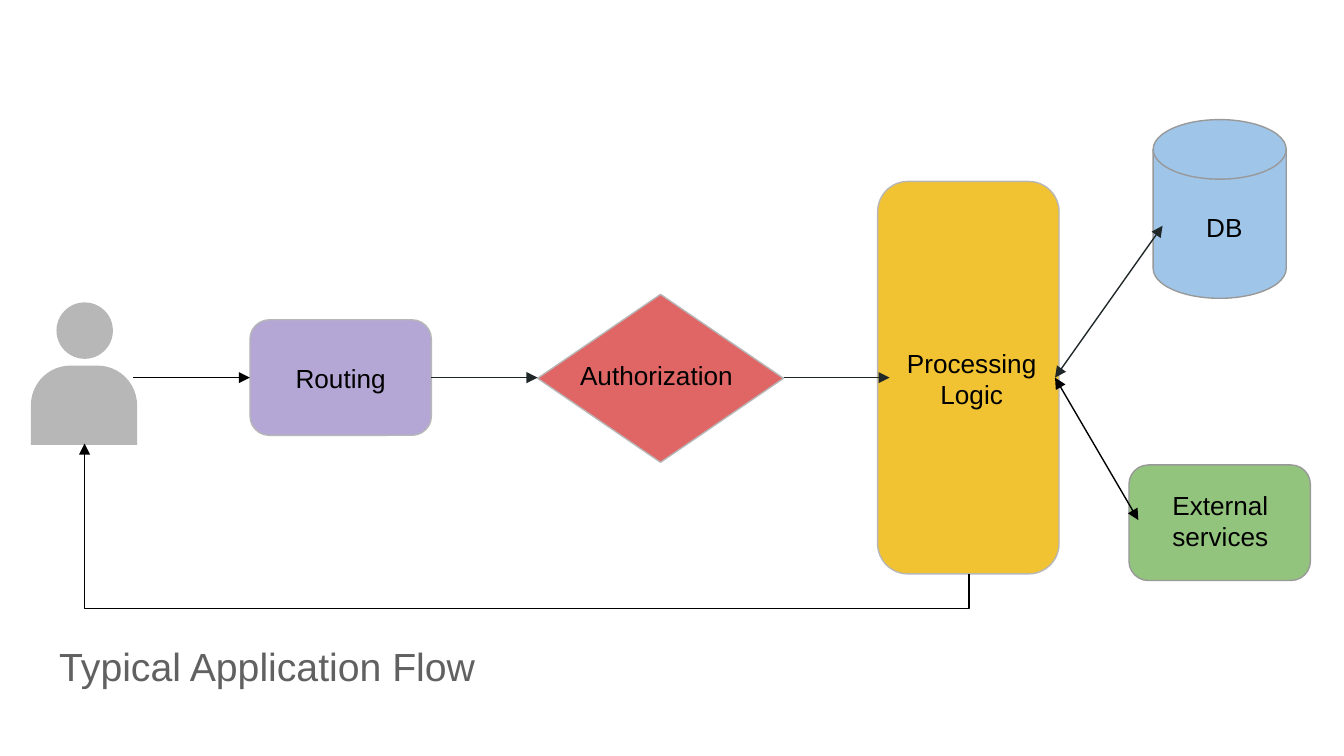
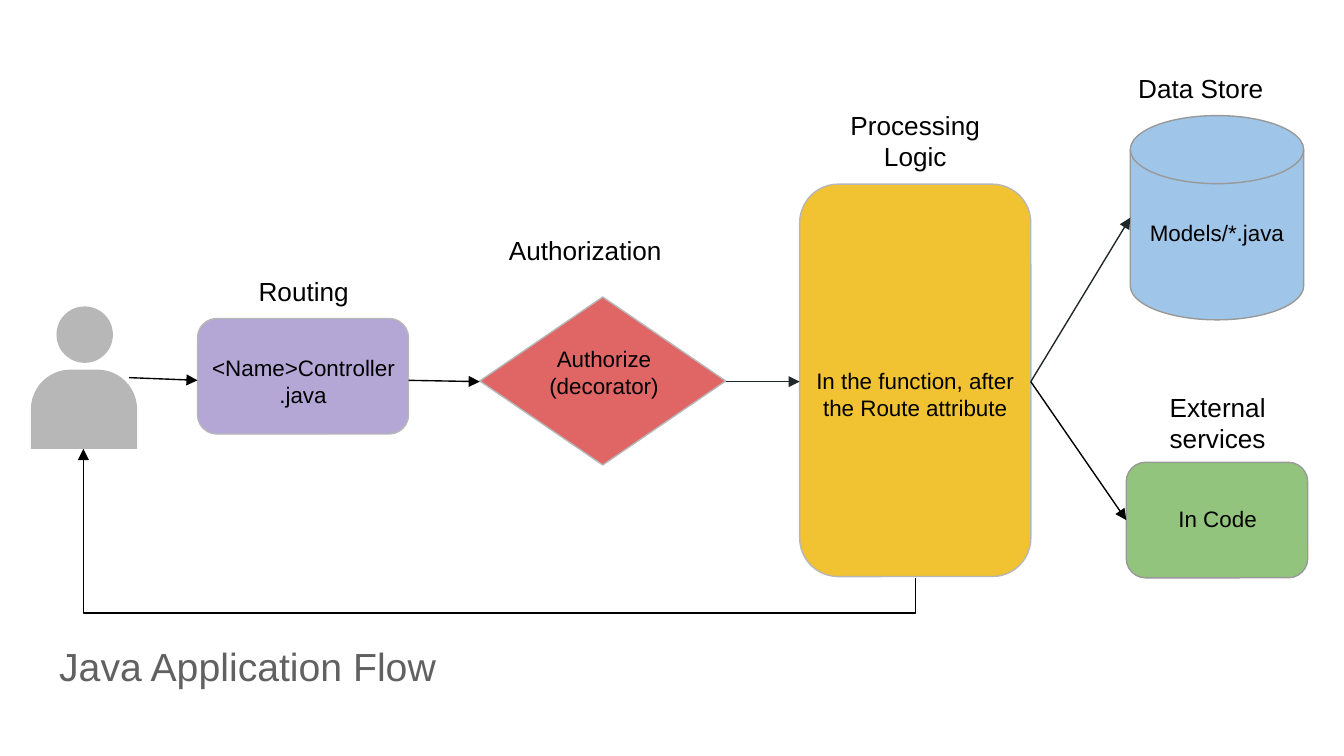
from lxml.etree import SubElement
from pptx import Presentation
from pptx.dml.color import RGBColor
from pptx.enum.shapes import MSO_CONNECTOR, MSO_SHAPE
from pptx.enum.text import MSO_ANCHOR, MSO_AUTO_SIZE, PP_ALIGN
from pptx.oxml.ns import qn
from pptx.util import Pt

PX = 9144  # 100 px to the inch
FONT = "Arial"
BLACK = RGBColor(0x00, 0x00, 0x00)
INK = RGBColor(0x20, 0x27, 0x29)
TITLE = RGBColor(0x61, 0x61, 0x61)
PALE = RGBColor(0xB7, 0xB7, 0xB7)
GRAY = RGBColor(0x99, 0x99, 0x99)
PURPLE = RGBColor(0xB4, 0xA7, 0xD6)
RED = RGBColor(0xE0, 0x66, 0x66)
YELLOW = RGBColor(0xF1, 0xC2, 0x32)
BLUE = RGBColor(0x9F, 0xC5, 0xE8)
GREEN = RGBColor(0x93, 0xC4, 0x7D)

# Each stage of the flow: shape, fill, edge
STAGES = {
    "route": (MSO_SHAPE.ROUNDED_RECTANGLE, PURPLE, PALE),
    "auth": (MSO_SHAPE.DIAMOND, RED, PALE),
    "logic": (MSO_SHAPE.ROUNDED_RECTANGLE, YELLOW, PALE),
    "store": (MSO_SHAPE.FLOWCHART_MAGNETIC_DISK, BLUE, GRAY),
    "extern": (MSO_SHAPE.ROUNDED_RECTANGLE, GREEN, GRAY),
}


def emu(*sizes):
    return [round(size * PX) for size in sizes]


class Flow:
    """Holds the deck, the style and the current slide."""

    def __init__(self):
        self.deck = Presentation()
        self.deck.slide_width, self.deck.slide_height = emu(1000, 562.5)

    def start(self, title):
        self.slide = self.deck.slides.add_slide(self.deck.slide_layouts[5])
        head = self.slide.shapes.title
        head.left, head.top, head.width, head.height = emu(34, 463, 656, 65)
        self.words(head, title, 21, TITLE, PP_ALIGN.LEFT)

    def words(self, shape, text, size=14, color=BLACK,
              align=PP_ALIGN.CENTER, anchor=MSO_ANCHOR.MIDDLE):
        frame = shape.text_frame
        frame.text = text
        frame.word_wrap = True
        frame.auto_size = MSO_AUTO_SIZE.NONE
        frame.vertical_anchor = anchor
        pad = emu(10)[0]
        frame.margin_left = frame.margin_right = pad
        frame.margin_top = frame.margin_bottom = pad
        for para in frame.paragraphs:
            para.alignment = align
            for run in para.runs:
                run.font.name = FONT
                run.font.size = Pt(size)
                run.font.color.rgb = color

    def label(self, text, box, size=14, anchor=MSO_ANCHOR.TOP):
        shape = self.slide.shapes.add_textbox(*emu(*box))
        self.words(shape, text, size, anchor=anchor)

    def shape(self, kind, box, fill, edge=None):
        shape = self.slide.shapes.add_shape(kind, *emu(*box))
        shape.shadow.inherit = False
        shape.fill.solid()
        shape.fill.fore_color.rgb = fill
        if edge is None:
            shape.line.fill.background()
        else:
            shape.line.color.rgb = edge
            shape.line.width = Pt(0.75)
        return shape

    def stage(self, name, box):
        kind, fill, edge = STAGES[name]
        return self.shape(kind, box, fill, edge)

    def user(self, top):
        self.shape(MSO_SHAPE.OVAL, (42, top, 42, 42), PALE)
        body = self.shape(MSO_SHAPE.ROUND_2_SAME_RECTANGLE,
                          (23, top + 47, 79, 59), PALE)
        body.adjustments[0], body.adjustments[1] = 0.5, 0

    def arrow(self, ends, color=BLACK, both=False, kind=MSO_CONNECTOR.STRAIGHT):
        line = self.slide.shapes.add_connector(kind, *emu(*ends))
        line.line.color.rgb = color
        line.line.width = Pt(0.75)
        props = line._element.spPr
        edge = props.find(qn("a:ln"))
        for tag in ("a:headEnd", "a:tailEnd") if both else ("a:tailEnd",):
            SubElement(edge, qn(tag), type="triangle")
        SubElement(props, qn("a:effectLst"))
        return props

    def back(self, x1, y1, x2, y2, drop=26):
        """Elbow that drops below its start, runs left and ends upward."""
        rise, run = y1 - y2, x1 - x2
        mid_x, mid_y = (x1 + x2) / 2, (y1 + y2) / 2
        # The elbow is laid out sideways, then turned by 90 degrees
        ends = (mid_x + rise / 2, mid_y - run / 2,
                mid_x - rise / 2, mid_y + run / 2)
        props = self.arrow(ends, kind=MSO_CONNECTOR.ELBOW)
        props.find(qn("a:xfrm")).set("rot", "5400000")
        guides = props.find(qn("a:prstGeom")).find(qn("a:avLst"))
        bend = round(-drop / rise * 100000)
        SubElement(guides, qn("a:gd"), name="adj1", fmla=f"val {bend}")


def typical(flow):
    flow.start("Typical Application Flow")

    # Stages and their names
    flow.words(flow.stage("route", (186, 238, 135, 86)), "Routing")
    flow.stage("auth", (400, 219, 183, 125))
    flow.label("Authorization", (421, 246, 135, 66), anchor=MSO_ANCHOR.MIDDLE)
    flow.stage("logic", (653, 135, 135, 292))
    flow.label("Processing Logic", (662, 240, 122, 83), anchor=MSO_ANCHOR.MIDDLE)
    flow.stage("store", (858, 89, 99, 133))
    flow.label("DB", (865, 147, 92, 42))
    flow.stage("extern", (840, 346, 135, 86))
    flow.label("External services", (847, 354, 122, 66))
    flow.user(225)

    # Arrows
    flow.arrow((99, 281, 186, 281))
    flow.arrow((321, 281, 400, 281), INK)
    flow.arrow((583, 281, 662, 281), INK)
    flow.arrow((785, 281, 865, 168), INK, both=True)
    flow.arrow((785, 281, 847, 387), both=True)
    flow.back(721, 427, 63, 330)


def java(flow):
    flow.start("Java Application Flow")

    # Stages
    flow.stage("route", (147, 237, 157, 86))
    flow.stage("auth", (357, 221, 183, 125))
    flow.stage("logic", (595, 137, 172, 292))
    flow.stage("store", (841, 86, 129, 152))
    flow.stage("extern", (838, 344, 135, 86))
    flow.user(228)

    # Stage names above
    flow.label("Routing", (165, 195, 122, 42))
    flow.label("Authorization", (368, 153, 135, 66), anchor=MSO_ANCHOR.MIDDLE)
    flow.label("Processing Logic", (620, 63, 122, 83), anchor=MSO_ANCHOR.MIDDLE)
    flow.label("Data Store", (835, 44, 117, 42))
    flow.label("External services", (845, 281, 122, 66))

    # Where each stage lives in the code
    flow.label("<Name>Controller.java", (147, 260, 157, 47), 12, MSO_ANCHOR.MIDDLE)
    flow.label("Authorize\n(decorator)", (371, 247, 157, 59), 12)
    flow.label("In the function, after the Route attribute", (595, 263, 172, 42), 12)
    flow.label("Models/*.java", (841, 153, 129, 42), 12)
    flow.label("In Code", (820, 366, 172, 42), 12)

    # Arrows
    flow.arrow((96, 281, 147, 283))
    flow.arrow((304, 283, 357, 284))
    flow.arrow((540, 284, 595, 284), INK)
    flow.arrow((767, 284, 841, 162), INK)
    flow.arrow((767, 284, 838, 387))
    flow.back(681, 430, 62, 334)


def main():
    flow = Flow()
    typical(flow)
    java(flow)
    flow.deck.save("out.pptx")


if __name__ == "__main__":
    main()
